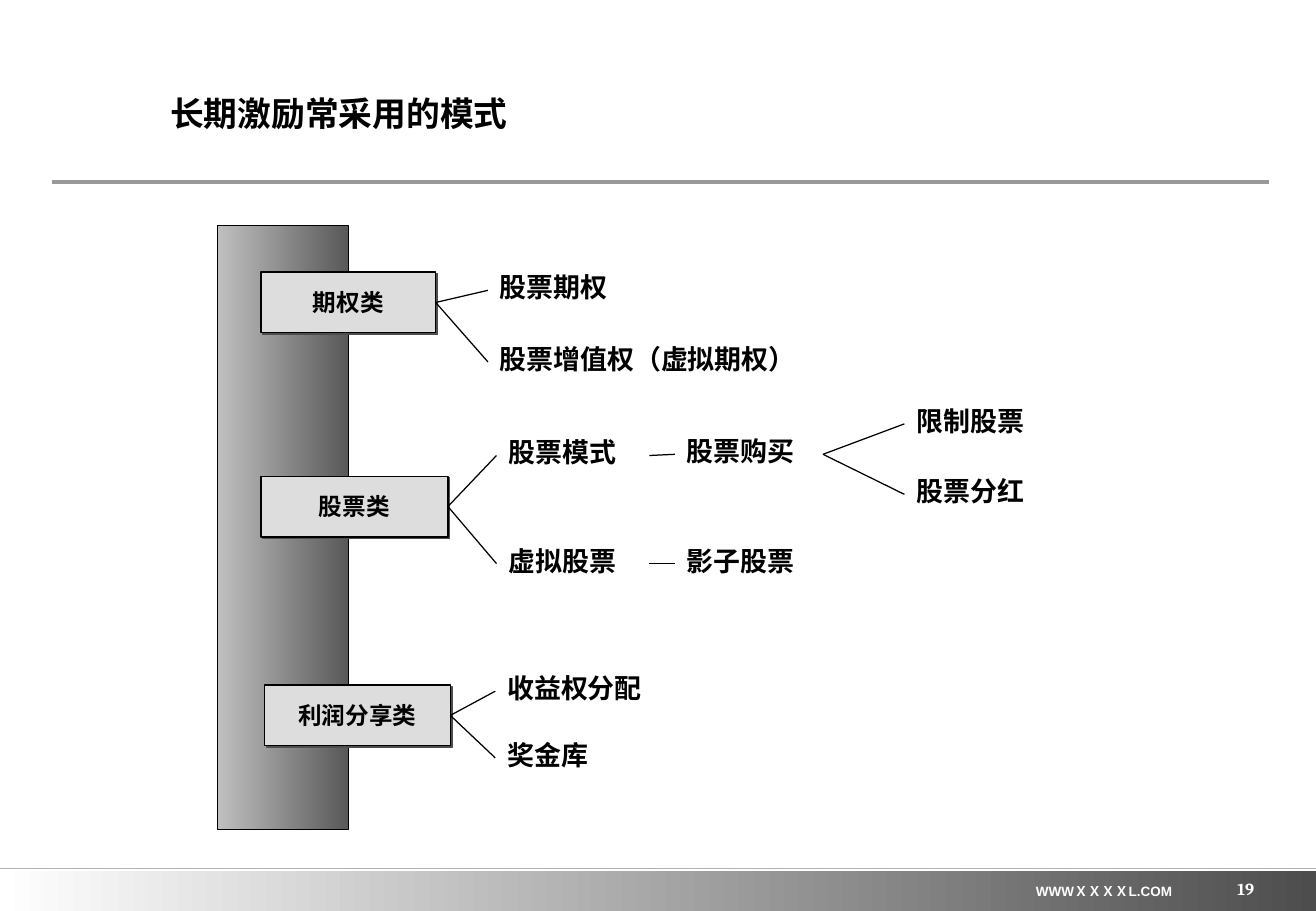
from dataclasses import dataclass

import pptx
import pptx.util
import pptx.dml.color
import pptx.enum.shapes
import pptx.enum.text
import pptx.oxml.ns
import pptx.shapes.autoshape
import pptx.shapes.base
import pptx.shapes.connector
import pptx.slide
import lxml.etree

RGBColor = pptx.dml.color.RGBColor
ALIGN = pptx.enum.text.PP_ALIGN
ANCHOR = pptx.enum.text.MSO_ANCHOR
SHAPE = pptx.enum.shapes.MSO_SHAPE
qn = pptx.oxml.ns.qn

BLACK = RGBColor(0x00, 0x00, 0x00)
WHITE = RGBColor(0xFF, 0xFF, 0xFF)
DARK_GRAY = RGBColor(0x4D, 0x4D, 0x4D)
COLUMN_LIGHT = RGBColor(0xC0, 0xC0, 0xC0)
COLUMN_DARK = RGBColor(0x59, 0x59, 0x59)
CATEGORY_FILL = RGBColor(0xDD, 0xDD, 0xDD)
TITLE_RULE = RGBColor(0x99, 0x99, 0x99)
FOOTER_RULE = RGBColor(0xB2, 0xB2, 0xB2)

WIDTH, HEIGHT = pptx.util.Inches(10.84), pptx.util.Inches(7.5)
CHINESE_FONT = "Noto Sans CJK SC"
TEXT_INSETS = (0.1, 0.05)
RIGHT_SIDE, LEFT_SIDE = 3, 1


@dataclass(frozen=True)
class Area:
    """A rectangle in percent of the slide's width and height."""
    left: float
    top: float
    width: float
    height: float

    def lengths(self) -> tuple[int, int, int, int]:
        return (across(self.left), down(self.top),
                across(self.width), down(self.height))


@dataclass(frozen=True)
class Node:
    """A box or label of the tree, joined to its parent by name."""
    text: str
    area: Area
    parent: str = ""


CATEGORY_HEIGHT, LABEL_HEIGHT = 6.67, 5.6
NODES = [
    Node("期权类", Area(19.83, 29.87, 13.28, CATEGORY_HEIGHT)),
    Node("股票类", Area(19.83, 52.27, 14.21, CATEGORY_HEIGHT)),
    Node("利润分享类", Area(20.11, 75.2, 14.11, CATEGORY_HEIGHT)),
    Node("股票期权", Area(37.08, 29.07, 11.62, LABEL_HEIGHT), "期权类"),
    Node("股票增值权（虚拟期权）", Area(37.08, 36.93, 28.14, LABEL_HEIGHT), "期权类"),
    Node("股票模式", Area(37.73, 47.2, 11.62, LABEL_HEIGHT), "股票类"),
    Node("虚拟股票", Area(37.73, 59.07, 11.62, LABEL_HEIGHT), "股票类"),
    Node("股票购买", Area(51.29, 47.07, 11.25, LABEL_HEIGHT), "股票模式"),
    Node("影子股票", Area(51.29, 59.07, 11.62, LABEL_HEIGHT), "虚拟股票"),
    Node("限制股票", Area(68.73, 43.73, 12.45, LABEL_HEIGHT), "股票购买"),
    Node("股票分红", Area(68.73, 51.47, 12.45, LABEL_HEIGHT), "股票购买"),
    Node("收益权分配", Area(37.64, 73.07, 13.1, LABEL_HEIGHT), "利润分享类"),
    Node("奖金库", Area(37.64, 80.4, 13.1, LABEL_HEIGHT), "利润分享类"),
]


def across(percent: float) -> int:
    return round(WIDTH * percent / 100)


def down(percent: float) -> int:
    return round(HEIGHT * percent / 100)


def write_text(shape: pptx.shapes.base.BaseShape, text: str, *, size: float,
               font: str = "Arial", color: RGBColor = BLACK,
               align: ALIGN = ALIGN.LEFT, anchor: ANCHOR = ANCHOR.TOP,
               insets: tuple[float, float] = TEXT_INSETS, wrap: bool = True) -> None:
    frame = shape.text_frame
    frame.auto_size = pptx.enum.text.MSO_AUTO_SIZE.NONE
    frame.word_wrap = wrap
    frame.vertical_anchor = anchor
    frame.margin_left = frame.margin_right = pptx.util.Inches(insets[0])
    frame.margin_top = frame.margin_bottom = pptx.util.Inches(insets[1])
    paragraph = frame.paragraphs[0]
    paragraph.alignment = align
    run = paragraph.add_run()
    run.text = text
    run.font.size = pptx.util.Pt(size)
    run.font.bold = True
    run.font.color.rgb = color
    run.font.name = font
    properties = run.font._element
    lxml.etree.SubElement(properties, qn("a:ea"), typeface=CHINESE_FONT)


def add_rectangle(slide: pptx.slide.Slide, area: Area) -> pptx.shapes.autoshape.Shape:
    shape = slide.shapes.add_shape(SHAPE.RECTANGLE, *area.lengths())
    shape.shadow.inherit = False
    return shape


def outline(shape: pptx.shapes.autoshape.Shape) -> None:
    shape.line.color.rgb = BLACK
    shape.line.width = pptx.util.Pt(0.75)


def fill_gradient(shape: pptx.shapes.autoshape.Shape,
                  first: RGBColor, last: RGBColor) -> None:
    shape.fill.gradient()
    shape.fill.gradient_angle = 0
    for stop, color in zip(shape.fill.gradient_stops, (first, last)):
        stop.color.rgb = color


def add_line(slide: pptx.slide.Slide, left: float = 0, right: float = 0, top: float = 0,
             color: RGBColor = BLACK,
             weight: float = 0.75) -> pptx.shapes.connector.Connector:
    line = slide.shapes.add_connector(
        pptx.enum.shapes.MSO_CONNECTOR.STRAIGHT,
        across(left), down(top), across(right), down(top))
    line.line.color.rgb = color
    line.line.width = pptx.util.Pt(weight)
    lxml.etree.SubElement(line._element.spPr, qn("a:effectLst"))
    return line


def add_category(slide: pptx.slide.Slide, node: Node) -> pptx.shapes.autoshape.Shape:
    box = add_rectangle(slide, node.area)
    box.fill.solid()
    box.fill.fore_color.rgb = CATEGORY_FILL
    outline(box)
    effects = box._element.spPr.find(qn("a:effectLst"))
    shadow = lxml.etree.SubElement(effects, qn("a:outerShdw"), dist="17780",
                                   dir="2700000", algn="ctr", rotWithShape="0")
    lxml.etree.SubElement(shadow, qn("a:srgbClr"), val=str(DARK_GRAY))
    write_text(box, node.text, size=14, font="Cambria",
               align=ALIGN.CENTER, anchor=ANCHOR.MIDDLE)
    return box


def add_label(slide: pptx.slide.Slide, node: Node) -> pptx.shapes.autoshape.Shape:
    label = slide.shapes.add_textbox(*node.area.lengths())
    write_text(label, node.text, size=16)
    return label


def add_frame(slide: pptx.slide.Slide) -> None:
    # Footer band, rules and footer texts
    band = add_rectangle(slide, Area(0, 95.6, 100, 4.4))
    fill_gradient(band, WHITE, DARK_GRAY)
    band.line.fill.background()
    add_line(slide, 3.97, 96.4, 20, TITLE_RULE, 2.5)
    add_line(slide, 0, 100, 95.33, FOOTER_RULE, 1)
    website = slide.shapes.add_textbox(*Area(77.58, 96.27, 12.64, 3.2).lengths())
    write_text(website, "WWWＸＸＸＸL.COM", size=8, color=WHITE,
               align=ALIGN.CENTER, wrap=False)
    number = slide.shapes.add_textbox(*Area(74.45, 94.27, 20.85, 4.4).lengths())
    write_text(number, "19", size=10, font="Cambria", color=WHITE,
               align=ALIGN.RIGHT, anchor=ANCHOR.BOTTOM, insets=(0, 0))

    # Title
    title = slide.shapes.title
    title.left, title.top, title.width, title.height = Area(12.92, 8.53, 44.1, 7.73).lengths()
    write_text(title, "长期激励常采用的模式", size=20, font=CHINESE_FONT,
               anchor=ANCHOR.MIDDLE, insets=(0, 0))


def add_tree(slide: pptx.slide.Slide) -> None:
    # Shaded column behind the categories
    column = add_rectangle(slide, Area(16.51, 24.8, 9.96, 66.27))
    fill_gradient(column, COLUMN_LIGHT, COLUMN_DARK)
    outline(column)

    # Categories and labels, each joined to its parent
    drawn: dict[str, pptx.shapes.autoshape.Shape] = {}
    for node in NODES:
        drawn[node.text] = add_label(slide, node) if node.parent else add_category(slide, node)
        if node.parent:
            branch = add_line(slide)
            branch.begin_connect(drawn[node.parent], RIGHT_SIDE)
            branch.end_connect(drawn[node.text], LEFT_SIDE)


def main() -> None:
    presentation = pptx.Presentation()
    presentation.slide_width, presentation.slide_height = WIDTH, HEIGHT
    slide = presentation.slides.add_slide(presentation.slide_layouts.get_by_name("Title Only"))
    add_frame(slide)
    add_tree(slide)
    presentation.save("out.pptx")


if __name__ == "__main__":
    main()
